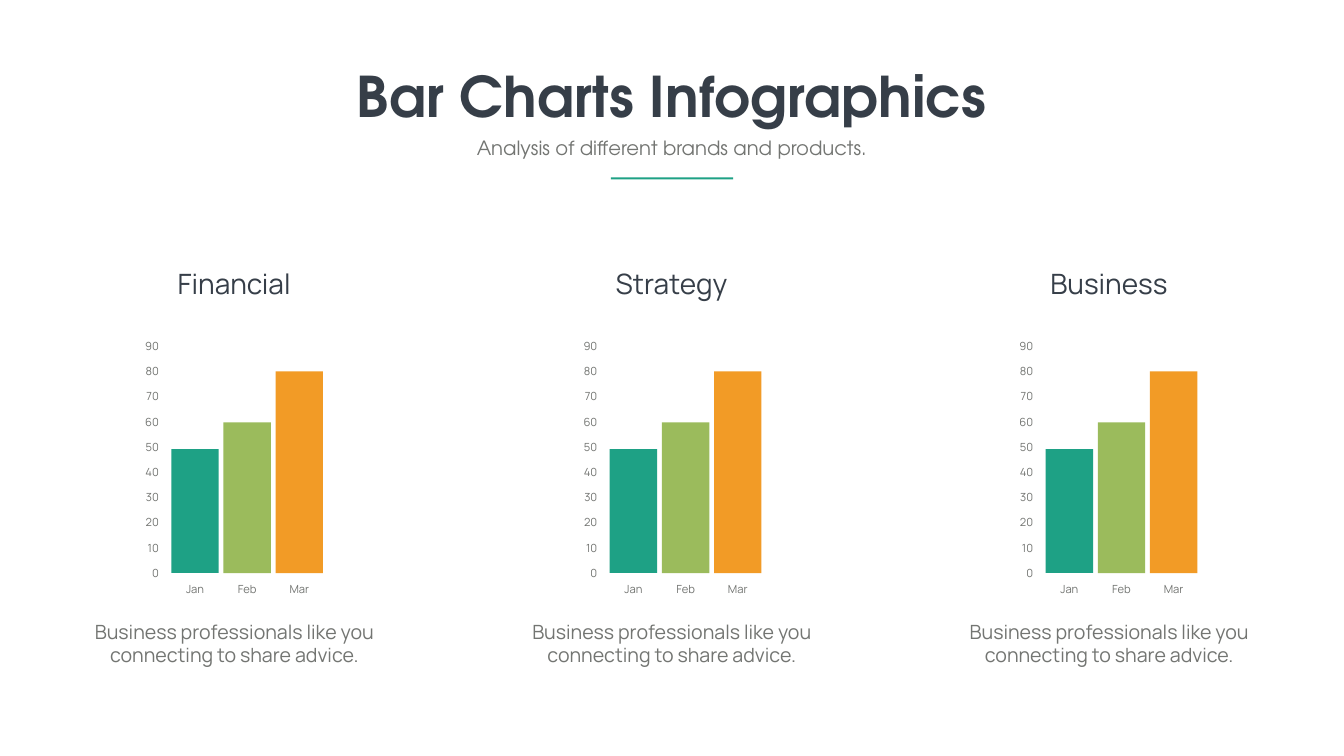
from pptx import Presentation
from pptx.dml.color import RGBColor
from pptx.enum.shapes import MSO_SHAPE
from pptx.enum.text import MSO_AUTO_SIZE, PP_ALIGN
from pptx.util import Inches, Pt

DARK, GREY, TEAL = "363E48", "737572", "1EA185"
TITLE_FONT, BODY_FONT = "TeX Gyre Adventor", "Manrope"
CENTER, COLUMN_STEP = 13.33, 8.68
BASELINE, BAR_WIDTH, BAR_STEP = 11.37, 0.94, 1.035
TICK_STEP = 0.5
LABEL_WIDTH, LABEL_HEIGHT = 0.89, 0.37
BARS = (("Jan", 2.46, TEAL), ("Feb", 2.99, "9BBB5C"), ("Mar", 4, "F29B26"))
# Heading and left edge of the first bar
COLUMNS = (("Financial", 3.4), ("Strategy", 12.1), ("Business", 20.75))
NOTE = "Business professionals like you connecting to share advice."


def rgb(color):
    return RGBColor.from_string(color)


def add_text(shapes, text, left, top, width, height, size, color,
             font=BODY_FONT, bold=False, wrap=True, align=PP_ALIGN.CENTER):
    sp = shapes.add_textbox(Inches(left), Inches(top),
                            Inches(width), Inches(height))
    tf = sp.text_frame
    tf.text = text
    tf.word_wrap = wrap
    tf.auto_size = MSO_AUTO_SIZE.SHAPE_TO_FIT_TEXT
    p = tf.paragraphs[0]
    p.alignment = align
    r = p.runs[0]
    r.font.name, r.font.size, r.font.bold = font, Pt(size), bold
    r.font.color.rgb = rgb(color)


def add_rect(shapes, left, top, width, height, color):
    sp = shapes.add_shape(MSO_SHAPE.RECTANGLE, Inches(left), Inches(top),
                          Inches(width), Inches(height))
    sp.shadow.inherit = False
    sp.fill.solid()
    sp.fill.fore_color.rgb = rgb(color)
    sp.line.fill.background()


def add_label(shapes, text, left, top, align=PP_ALIGN.CENTER):
    add_text(shapes, text, left, top, LABEL_WIDTH, LABEL_HEIGHT, 16, GREY,
             align=align)


def add_bar_graph(s, left):
    """Group bars, scale and month labels, with the first bar at left."""
    shapes = s.shapes.add_group_shape().shapes
    for i in range(10):
        add_label(shapes, str(i * 10), left - 1.04,
                  BASELINE - LABEL_HEIGHT / 2 - i * TICK_STEP, PP_ALIGN.RIGHT)
    for i, (month, height, color) in enumerate(BARS):
        x = left + i * BAR_STEP
        add_rect(shapes, x, BASELINE - height, BAR_WIDTH, height, color)
        add_label(shapes, month, x + (BAR_WIDTH - LABEL_WIDTH) / 2, 11.51)


def main():
    prs = Presentation()
    prs.slide_width, prs.slide_height = Inches(26.67), Inches(15)
    s = prs.slides.add_slide(prs.slide_layouts[6])

    for i, (heading, bar_left) in enumerate(COLUMNS):
        center = CENTER + (i - 1) * COLUMN_STEP
        add_text(s.shapes, heading, center - 2.5, 5.24, 4.99, 0.77, 40, DARK)
        add_text(s.shapes, NOTE, center - 3.19, 12.25, 6.38, 1.04, 28, GREY)
        add_bar_graph(s, bar_left)

    add_text(s.shapes, "Bar Charts Infographics", 6.92, 1.17, 12.82, 1.45,
             80, DARK, TITLE_FONT, bold=True, wrap=False)
    add_text(s.shapes, "Analysis of different brands and products.",
             8.55, 2.65, 9.56, 0.57, 28, GREY, TITLE_FONT)
    add_rect(s.shapes, 12.12, 3.52, 2.43, 0.04, TEAL)

    prs.save("out.pptx")


if __name__ == "__main__":
    main()
